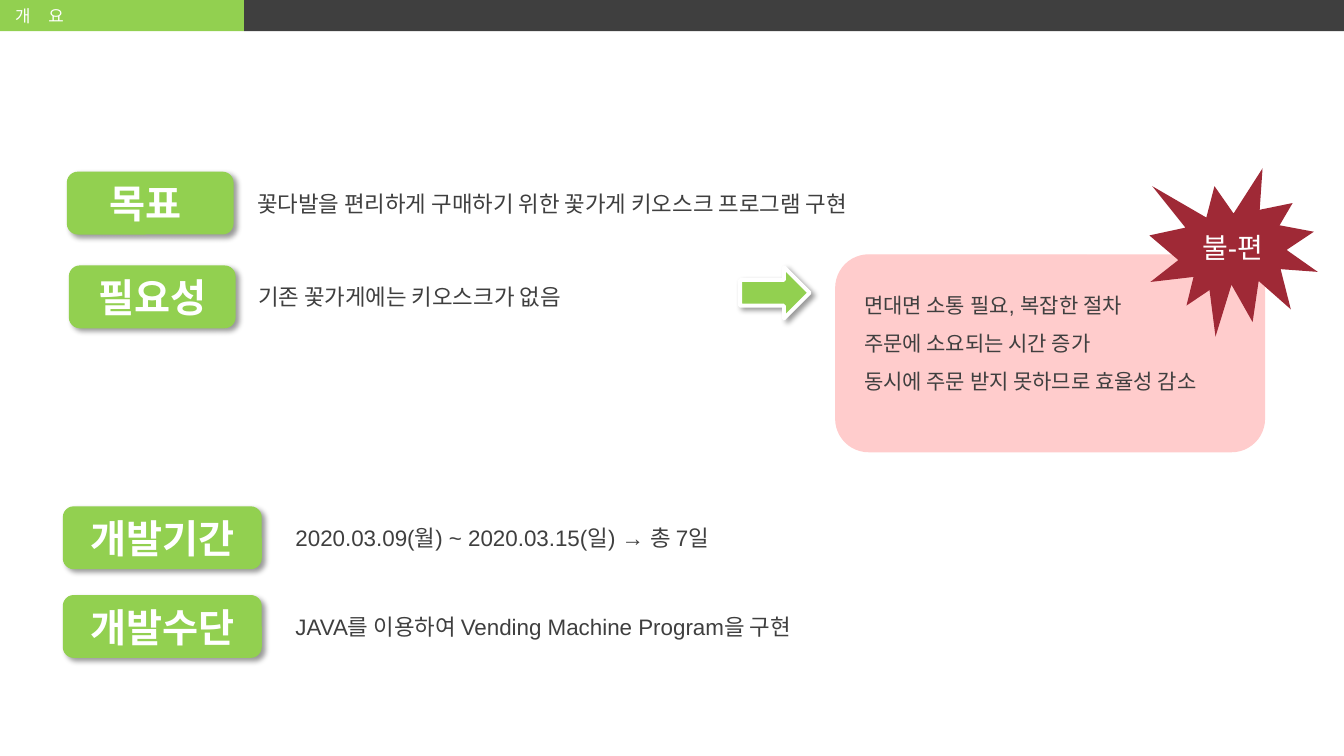
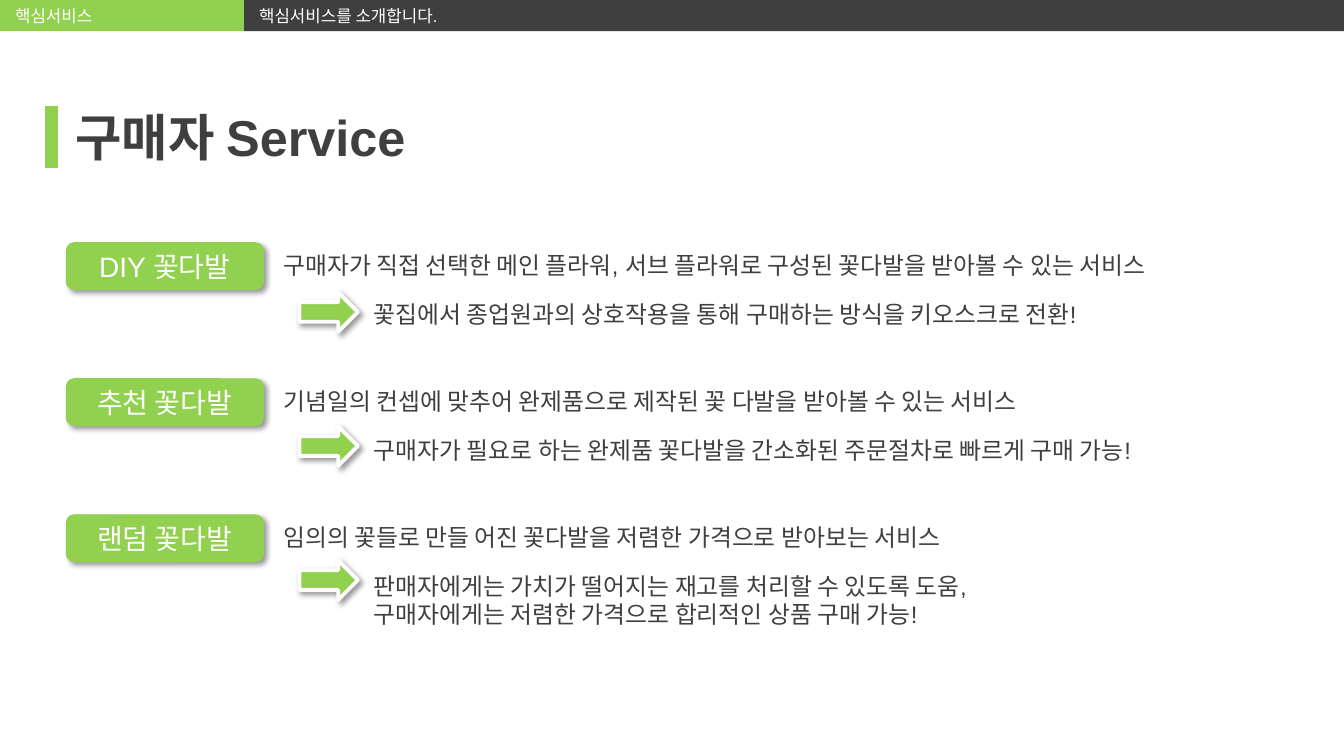
from pptx import Presentation
from pptx.dml.color import RGBColor
from pptx.enum.shapes import MSO_CONNECTOR, MSO_SHAPE as SHAPE
from pptx.enum.text import MSO_ANCHOR as ANCHOR, MSO_AUTO_SIZE, PP_ALIGN as ALIGN
from pptx.oxml import parse_xml
from pptx.oxml.ns import nsdecls, qn
from pptx.util import Inches, Pt

GREEN = RGBColor(0x92, 0xD0, 0x50)
DARK = RGBColor(0x3F, 0x3F, 0x3F)
WHITE = RGBColor(0xFF, 0xFF, 0xFF)
PINK = RGBColor(0xFF, 0xCC, 0xCC)
RED = RGBColor(0x9F, 0x29, 0x36)
FONT = "Arial"
NO_INSET = (0, 0, 0, 0)
SHAPE_INSET = (0.1, 0.05, 0.1, 0.05)
BAND_INSET = (0.15, 0.06, 0.06, 0.06)
SLIDE_W, SLIDE_H, BAND_W, BAND_H = 13.33, 7.5, 2.42, 0.31

# Content: label, label (left, top, width), description, description (left, width)
OVERVIEW = [
    ("목표 ", (0.67, 1.71, 1.64), "꽃다발을 편리하게 구매하기 위한 꽃가게 키오스크 프로그램 구현", (2.55, 9.65)),
    ("필요성", (0.69, 2.64, 1.64), "기존 꽃가게에는 키오스크가 없음", (2.56, 3.6)),
    ("개발기간", (0.63, 5.03, 1.96), "2020.03.09(월) ~ 2020.03.15(일) → 총 7일", (2.93, 6.55)),
    ("개발수단", (0.63, 5.91, 1.96), "JAVA를 이용하여 Vending Machine Program을 구현", (2.93, 5.36)),
]
PROBLEMS = ["면대면 소통 필요, 복잡한 절차", "주문에 소요되는 시간 증가", "동시에 주문 받지 못하므로 효율성 감소"]
SERVICES = [
    ("DIY 꽃다발", "구매자가 직접 선택한 메인 플라워, 서브 플라워로 구성된 꽃다발을 받아볼 수 있는 서비스",
     ["꽃집에서 종업원과의 상호작용을 통해 구매하는 방식을 키오스크로 전환!"]),
    ("추천 꽃다발", "기념일의 컨셉에 맞추어 완제품으로 제작된 꽃 다발을 받아볼 수 있는 서비스",
     ["구매자가 필요로 하는 완제품 꽃다발을 간소화된 주문절차로 빠르게 구매 가능!"]),
    ("랜덤 꽃다발", "임의의 꽃들로 만들 어진 꽃다발을 저렴한 가격으로 받아보는 서비스",
     ["판매자에게는 가치가 떨어지는 재고를 처리할 수 있도록 도움,",
      "구매자에게는 저렴한 가격으로 합리적인 상품 구매 가능!"]),
]


def place(shape, left, top, width, height):
    shape.left, shape.top = Inches(left), Inches(top)
    shape.width, shape.height = Inches(width), Inches(height)


def write(shape, lines, size, color, bold=False, align=ALIGN.LEFT,
          anchor=ANCHOR.MIDDLE, inset=NO_INSET, spacing=None):
    """Fill a shape with paragraphs; a line is a string or a list of runs."""
    frame = shape.text_frame
    frame.word_wrap, frame.auto_size = True, MSO_AUTO_SIZE.NONE
    frame.vertical_anchor = anchor
    (frame.margin_left, frame.margin_top,
     frame.margin_right, frame.margin_bottom) = map(Inches, inset)
    for i, line in enumerate(lines):
        paragraph = frame.add_paragraph() if i else frame.paragraphs[0]
        paragraph.alignment = align
        paragraph.space_before = Pt(0)
        if spacing:
            paragraph.line_spacing = spacing
        for text in [line] if isinstance(line, str) else line:
            run = paragraph.add_run()
            run.text = text
            font = run.font
            font.name, font.size, font.bold = FONT, Pt(size), bold
            font.color.rgb = color


def add_text(slide, box, lines, size, **style):
    write(slide.shapes.add_textbox(*map(Inches, box)), lines, size, DARK, **style)


def add_figure(slide, kind, box, fill, line=None, line_width=1, shadow=False):
    figure = slide.shapes.add_shape(kind, *map(Inches, box))
    figure.fill.solid()
    figure.fill.fore_color.rgb = fill
    if line is None:
        figure.line.fill.background()
    else:
        figure.line.color.rgb = line
        figure.line.width = Pt(line_width)
    figure.shadow.inherit = False
    if shadow:
        effects = next(figure.element.iter(qn("a:effectLst")))
        effects.append(parse_xml(
            f'<a:outerShdw {nsdecls("a")} blurRad="{Pt(4)}" dist="{Pt(3)}" dir="2700000" '
            'algn="tl" rotWithShape="0"><a:srgbClr val="000000">'
            '<a:alpha val="40000"/></a:srgbClr></a:outerShdw>'))
    return figure


def add_label(slide, box, text, size, bold=False):
    label = add_figure(slide, SHAPE.ROUNDED_RECTANGLE, box, GREEN, GREEN, shadow=True)
    write(label, [text], size, WHITE, bold, ALIGN.CENTER, inset=SHAPE_INSET)


def add_arrow(slide, box):
    add_figure(slide, SHAPE.RIGHT_ARROW, box, GREEN, WHITE, 2.75, shadow=True)


def add_header(slide, section, note=None, section_band=None):
    """Green section band, which may be the title, and dark note band."""
    box = (0, 0, BAND_W, BAND_H)
    if section_band is None:
        section_band = add_figure(slide, SHAPE.RECTANGLE, box, GREEN)
    else:
        place(section_band, *box)
        section_band.fill.solid()
        section_band.fill.fore_color.rgb = GREEN
    write(section_band, [section], 12, WHITE, inset=BAND_INSET)
    note_band = add_figure(slide, SHAPE.RECTANGLE, (BAND_W, 0, SLIDE_W - BAND_W, BAND_H), DARK)
    if note:
        write(note_band, [note], 12, WHITE, inset=BAND_INSET)


def build_overview(prs):
    slide = prs.slides.add_slide(prs.slide_layouts[1])
    title, problems = slide.shapes.title, slide.placeholders[1]
    add_header(slide, ["개", " ", "요"], section_band=title)
    # Widen the gap between the two syllables
    title.text_frame.paragraphs[0].runs[1].font._element.set("spc", "1000")

    for label, (left, top, width), text, (text_left, text_width) in OVERVIEW:
        add_label(slide, (left, top, width, 0.61), label, 28, bold=True)
        add_text(slide, (text_left, top + 0.05, text_width, 0.51), [text], 16)
    add_arrow(slide, (7.34, 2.65, 0.69, 0.51))

    # Problem panel behind its list
    panel = add_figure(slide, SHAPE.ROUNDED_RECTANGLE, (8.29, 2.53, 4.25, 1.95), PINK, PINK)
    problems.element.addprevious(panel.element)
    place(problems, 8.57, 2.78, 3.8, 1.12)
    write(problems, PROBLEMS, 15, DARK, spacing=1.5)
    for paragraph in problems.text_frame.paragraphs:
        properties = paragraph._p.get_or_add_pPr()
        properties.set("marL", "0")
        properties.set("indent", "0")
        properties.append(parse_xml(f'<a:buNone {nsdecls("a")}/>'))
    burst = add_figure(slide, SHAPE.EXPLOSION1, (11.4, 1.67, 1.67, 1.67), RED)
    write(burst, ["불-편"], 20, WHITE, align=ALIGN.CENTER, inset=SHAPE_INSET)


def build_services(prs):
    slide = prs.slides.add_slide(prs.slide_layouts[5])
    add_header(slide, "핵심서비스", "핵심서비스를 소개합니다.")

    # Title with accent bar
    place(slide.shapes.title, 0.75, 0.91, 4.14, 0.88)
    write(slide.shapes.title, ["구매자 Service"], 36, DARK, bold=True)
    accent = slide.shapes.add_connector(
        MSO_CONNECTOR.STRAIGHT, Inches(0.51), Inches(1.05), Inches(0.51), Inches(1.67))
    accent.line.color.rgb = GREEN
    accent.line.width = Pt(9)
    accent.element.spPr.append(parse_xml(f'<a:effectLst {nsdecls("a")}/>'))

    # One row per service
    for i, (label, text, benefits) in enumerate(SERVICES):
        top = 2.41 + 1.35 * i
        add_label(slide, (0.66, top, 1.95, 0.46), label, 20)
        add_text(slide, (2.81, top + 0.06, 9.66, 0.31), [text], 17)
        add_text(slide, (3.61, top + 0.51, 9.49, 0.11 + 0.28 * len(benefits)), benefits, 17,
                 anchor=ANCHOR.TOP, inset=SHAPE_INSET)
        add_arrow(slide, (2.97, 2.9 + 1.33 * i, 0.58, 0.39))


def main():
    prs = Presentation()
    prs.slide_width, prs.slide_height = Inches(SLIDE_W), Inches(SLIDE_H)
    build_overview(prs)
    build_services(prs)
    prs.save("out.pptx")


if __name__ == "__main__":
    main()
